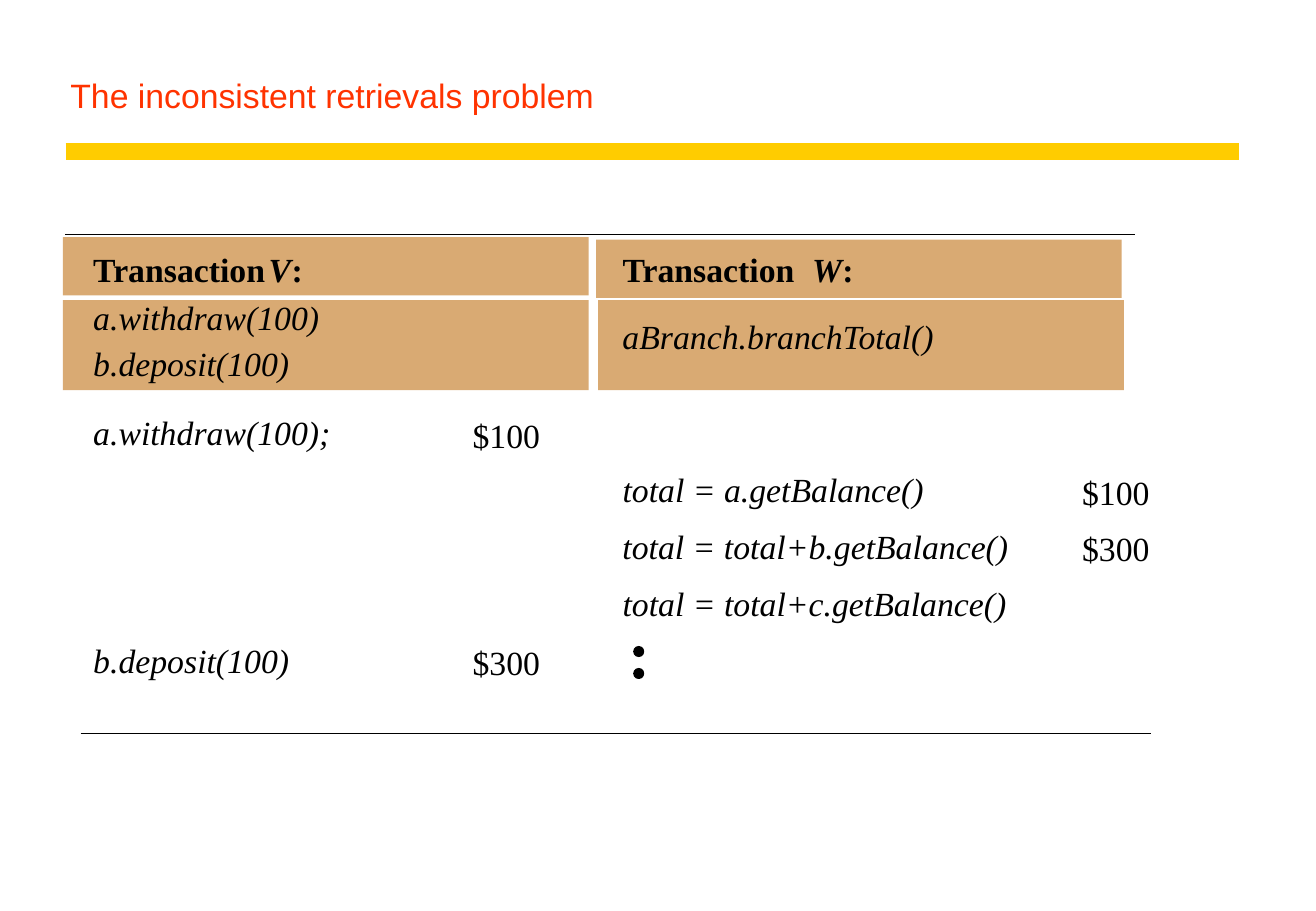
from dataclasses import dataclass, field

from lxml.etree import SubElement
from pptx import Presentation
from pptx.dml.color import RGBColor
from pptx.enum.shapes import MSO_CONNECTOR, MSO_SHAPE
from pptx.enum.text import MSO_ANCHOR, MSO_AUTO_SIZE
from pptx.oxml.ns import qn
from pptx.slide import Slide
from pptx.util import Pt


@dataclass(frozen=True)
class Theme:
    heading: RGBColor = RGBColor(0xFF, 0x33, 0x00)
    ink: RGBColor = RGBColor(0x00, 0x00, 0x00)
    panel: RGBColor = RGBColor(0xD9, 0xAA, 0x73)
    accent: RGBColor = RGBColor(0xFF, 0xCC, 0x00)
    heading_font: str = "Arial"
    body_font: str = "Times New Roman"
    text_size: float = 20
    accent_width: float = 10
    rule_width: float = 0.75


THEME = Theme()
BOLD = {"bold": True}
ITALIC = {"italic": True}
BOLD_ITALIC = BOLD | ITALIC
HEADING = {"name": THEME.heading_font}
BODY_FRAME = {
    "margin_left": 0, "margin_top": 0, "margin_right": 0, "margin_bottom": 0,
    "word_wrap": False, "auto_size": MSO_AUTO_SIZE.SHAPE_TO_FIT_TEXT,
}
TITLE_FRAME = {"word_wrap": True, "vertical_anchor": MSO_ANCHOR.BOTTOM}


@dataclass(frozen=True)
class Label:
    text: str
    left: float
    top: float
    width: float
    style: dict = field(default_factory=dict)
    height: float = 24
    color: RGBColor = THEME.ink
    frame: dict = field(default_factory=lambda: BODY_FRAME)


@dataclass(frozen=True)
class Block:
    left: float
    top: float
    width: float
    height: float
    fill: RGBColor = THEME.panel
    kind: MSO_SHAPE = MSO_SHAPE.RECTANGLE
    outlined: bool = False


@dataclass(frozen=True)
class Rule:
    start: float
    end: float
    top: float
    color: RGBColor = THEME.ink
    width: float = THEME.rule_width


SLIDE_WIDTH, SLIDE_HEIGHT = 780.48, 540
V_LEFT, W_LEFT = 55.3, 369.2
V_AMOUNT, W_AMOUNT = 280.3, 641.8
HEADER_TOP = 147.6
STEP_TOP, STEP_PITCH, AMOUNT_DROP = 244.3, 33.66, 1.5
PANEL_WIDTH, HEADER_HEIGHT, BODY_HEIGHT = 311.8, 34.6, 53.3
DOT_SIZE = 5.8


def step_top(step: int) -> float:
    return STEP_TOP + step * STEP_PITCH


def step_call(text: str, left: float, step: int, width: float) -> Label:
    return Label(text, left, step_top(step), width, ITALIC)


def step_amount(text: str, left: float, step: int) -> Label:
    return Label(text, left, step_top(step) + AMOUNT_DROP, 42)


BLOCKS = [
    Block(37.4, 140.5, PANEL_WIDTH, HEADER_HEIGHT),
    Block(353.5, 142, PANEL_WIDTH, HEADER_HEIGHT),
    Block(37.4, 178, PANEL_WIDTH, BODY_HEIGHT),
    Block(354.8, 178, PANEL_WIDTH, BODY_HEIGHT),
    *(Block(375.9, top, DOT_SIZE, DOT_SIZE, THEME.ink, MSO_SHAPE.OVAL, True)
      for top in (383.3, 396.3)),
]

LABELS = [
    Label("The inconsistent retrievals problem", 34.7, 18, 700, HEADING, 54,
          THEME.heading, TITLE_FRAME),
    Label("Transaction", V_LEFT, HEADER_TOP, 110, BOLD),
    Label("V", 159.3, HEADER_TOP, 15, BOLD_ITALIC),
    Label(":", 173, HEADER_TOP, 8, BOLD),
    Label("Transaction", W_LEFT, HEADER_TOP, 110, BOLD),
    Label("W", 481.7, HEADER_TOP, 19, BOLD_ITALIC),
    Label(":", 499.7, HEADER_TOP, 8, BOLD),
    Label("a.withdraw(100)", V_LEFT, 176, 137, ITALIC),
    Label("b.deposit(100)", V_LEFT, 203.2, 119, ITALIC),
    Label("aBranch.branchTotal()", W_LEFT, 187.2, 189, ITALIC),
    step_call("a.withdraw(100);", V_LEFT, 0, 144),
    step_amount("$100", V_AMOUNT, 0),
    step_call("total = a.getBalance()", W_LEFT, 1, 182),
    step_amount("$100", W_AMOUNT, 1),
    step_call("total = total+b.getBalance()", W_LEFT, 2, 232),
    step_amount("$300", W_AMOUNT, 2),
    step_call("total = total+c.getBalance()", W_LEFT, 3, 231),
    step_call("b.deposit(100)", V_LEFT, 4, 119),
    step_amount("$300", V_AMOUNT, 4),
]

RULES = [
    Rule(39, 734.7, 90, THEME.accent, THEME.accent_width),
    Rule(38.8, 673.4, 138.8),
    Rule(47.8, 682.7, 434.8),
]


def apply_format(target: object, values: dict) -> None:
    for attribute, value in values.items():
        setattr(target, attribute, value)


def draw_block(slide: Slide, block: Block) -> None:
    shape = slide.shapes.add_shape(
        block.kind, Pt(block.left), Pt(block.top), Pt(block.width), Pt(block.height))
    shape.shadow.inherit = False
    shape.fill.solid()
    shape.fill.fore_color.rgb = block.fill
    if block.outlined:
        shape.line.color.rgb = block.fill
        shape.line.width = Pt(THEME.rule_width)
    else:
        shape.line.fill.background()


def draw_label(slide: Slide, label: Label) -> None:
    box = slide.shapes.add_textbox(
        Pt(label.left), Pt(label.top), Pt(label.width), Pt(label.height))
    apply_format(box.text_frame, label.frame)
    run = box.text_frame.paragraphs[0].add_run()
    run.text = label.text
    base = {"name": THEME.body_font, "size": Pt(THEME.text_size)}
    apply_format(run.font, base | label.style)
    run.font.color.rgb = label.color


def draw_rule(slide: Slide, rule: Rule) -> None:
    line = slide.shapes.add_connector(
        MSO_CONNECTOR.STRAIGHT, Pt(rule.start), Pt(rule.top), Pt(rule.end), Pt(rule.top))
    line.line.color.rgb = rule.color
    line.line.width = Pt(rule.width)
    SubElement(line._element.spPr, qn("a:effectLst"))


def main() -> None:
    presentation = Presentation()
    presentation.slide_width = Pt(SLIDE_WIDTH)
    presentation.slide_height = Pt(SLIDE_HEIGHT)
    slide = presentation.slides.add_slide(presentation.slide_layouts[6])
    for block in BLOCKS:
        draw_block(slide, block)
    for label in LABELS:
        draw_label(slide, label)
    for rule in RULES:
        draw_rule(slide, rule)
    presentation.save("out.pptx")


if __name__ == "__main__":
    main()
